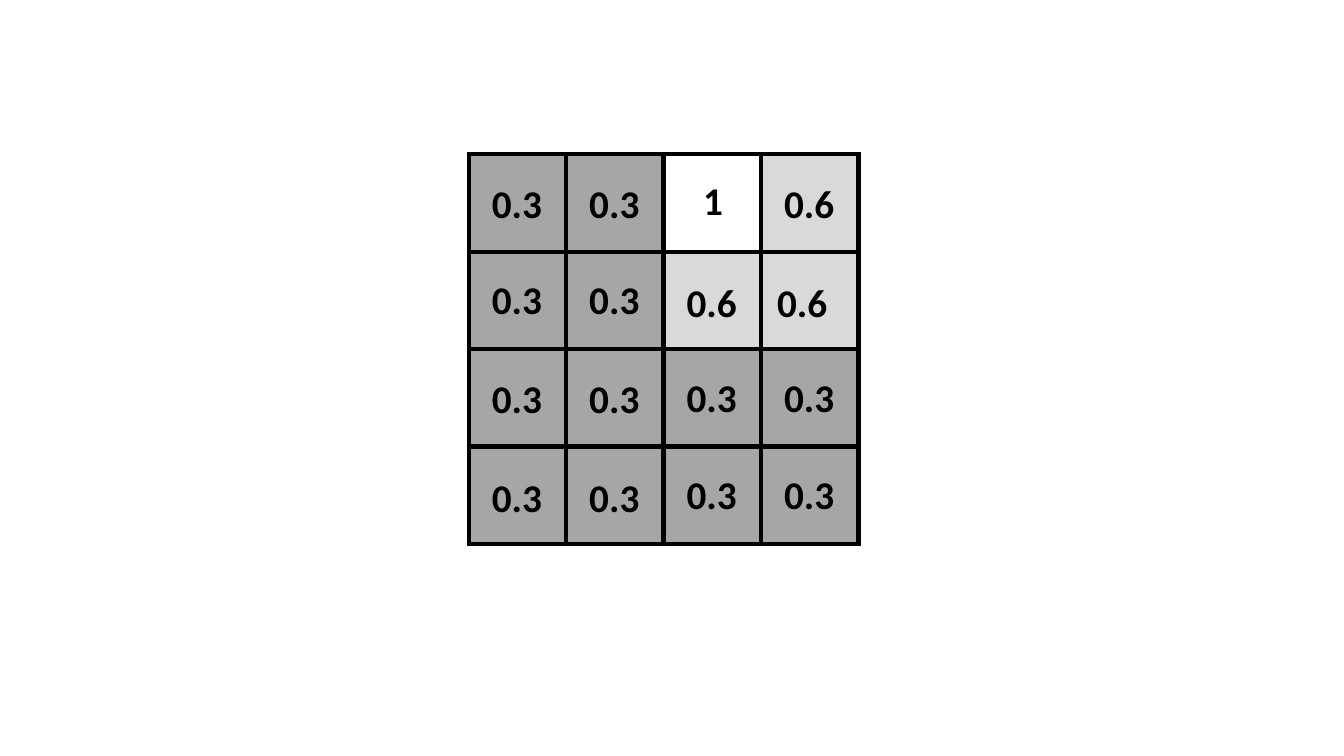
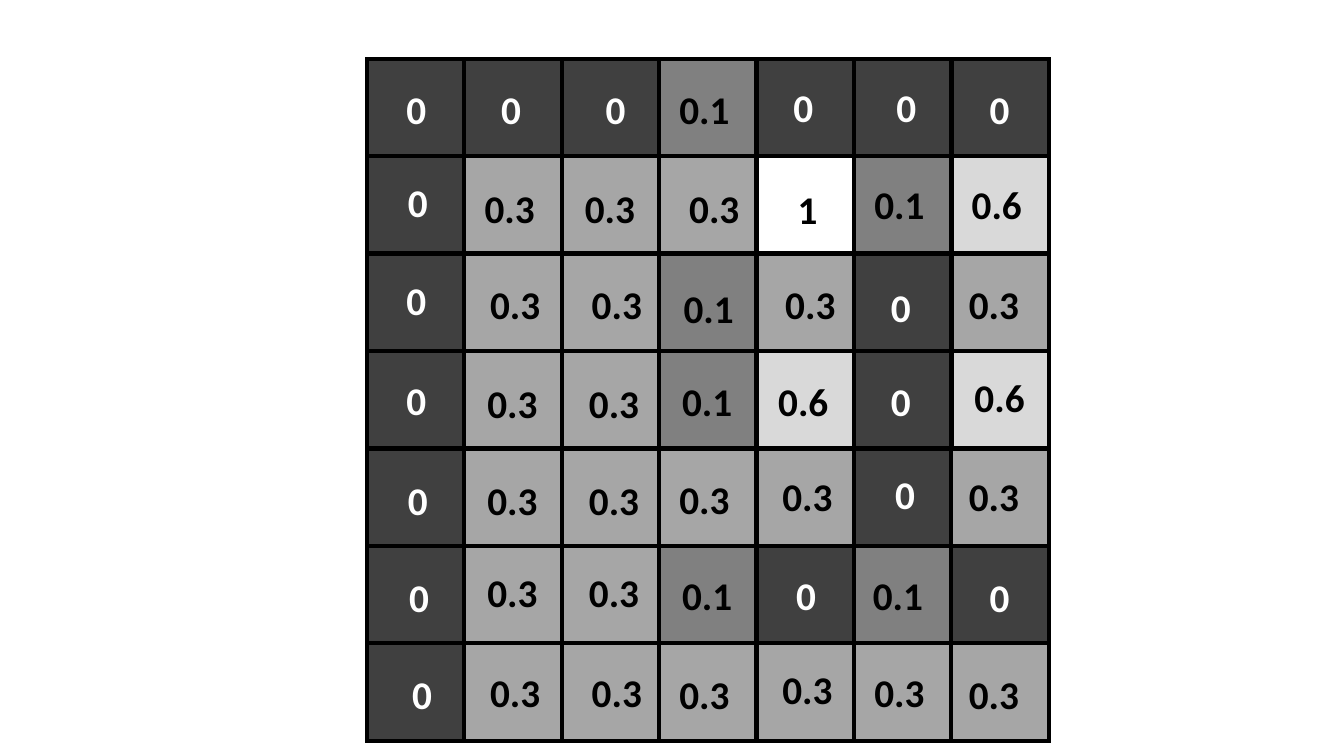
"""Build two slides that each show a square matrix of grey-level values."""
from lxml import etree
from pptx import Presentation
from pptx import util as u
from pptx.dml import color
from pptx.enum import shapes, text
from pptx.oxml import ns

COLORS = {
    "grid": "000000",
    "dark_text": "000000",
    "light_text": "FFFFFF",
    "0": "404040",
    "0.1": "808080",
    "0.3": "A6A6A6",
    "0.6": "D9D9D9",
}
FONT = "Calibri"
VALUE_SIZE = 28
GRID_WIDTH = 3
CELL = 69.6
LABEL_LEFT, LABEL_TOP = 9.4, 14.4
LABEL_WIDTH, LABEL_HEIGHT = 102.2, 41.2
INSET, DIGIT_INDENT = 7.2, 12.7

# Areas are (column, row, columns, rows); labels are (value, right, down).
SMALL_MATRIX = {
    "shades": [
        ("0.6", [(3, 0, 1, 1), (2, 1, 2, 1)]),
        ("0.3", [(2, 2, 2, 2), (0, 0, 2, 4)]),
    ],
    "bands": [(0, 0, 4, 4)]
    + [(column, 0, 1, 4) for column in range(4)]
    + [(0, row, 4, 1) for row in range(4)],
    "labels": [
        [("0.3", 0, 0), ("0.3", 0, 0), ("1", -1, -2), ("0.6", 0, 0)],
        [("0.3", 0, -1), ("0.3", 0, -1), ("0.6", 0, 1), ("0.6", -5, 1)],
        [("0.3", 0, 0), ("0.3", 0, 0), ("0.3", 0, -1), ("0.3", 0, -1)],
        [("0.3", 0, 1), ("0.3", 0, 1), ("0.3", 0, -1), ("0.3", 0, -1)],
    ],
}
LARGE_MATRIX = {
    "shades": [
        ("0", [(6, 5, 1, 1), (0, 0, 1, 7), (1, 0, 2, 1), (4, 0, 3, 1),
               (5, 2, 1, 3), (4, 5, 1, 1)]),
        ("0.1", [(3, 0, 1, 1), (5, 1, 1, 1), (3, 2, 1, 2), (3, 5, 1, 1),
                 (5, 5, 1, 1)]),
        ("0.3", [(1, 1, 2, 6), (3, 1, 1, 1), (3, 4, 1, 1), (3, 6, 4, 1),
                 (4, 2, 1, 1), (6, 2, 1, 1), (4, 4, 1, 1), (6, 4, 1, 1)]),
        ("0.6", [(4, 3, 1, 1), (6, 3, 1, 1), (6, 1, 1, 1)]),
    ],
    "bands": [(0, 0, 4, 1)]
    + [(column, 0, 1, 7) for column in (0, 1, 3, 5)]
    + [(column, 0, 1, 4) for column in (4, 6)]
    + [(0, row, 7, 1) for row in range(1, 7)],
    "labels": [
        [("0", -1, 1), ("0", -3, 1), ("0", 2, 1), ("0.1", -2, 1),
         ("0", -3, 0), ("0", 1, 0), ("0", -2, 1)],
        [("0", 0, -2), ("0.3", -2, 2), ("0.3", 0, 2), ("0.3", 5, 2),
         ("1", 0, 3), ("0.1", -2, -1), ("0.6", -2, -1)],
        [("0", -1, -2), ("0.3", 2, 1), ("0.3", 5, 1), ("0.1", 1, 4),
         ("0.3", 4, 1), ("0", -3, 3), ("0.3", -4, 1)],
        [("0", -1, 0), ("0.3", 0, 2), ("0.3", 3, 2), ("0.1", 0, 1),
         ("0.6", -1, 1), ("0", -3, 1), ("0.6", 0, -2)],
        [("0", 0, 2), ("0.3", 0, 2), ("0.3", 3, 2), ("0.3", -2, 1),
         ("0.3", 2, -1), ("0", 0, -2), ("0.3", -4, -1)],
        [("0", 1, 2), ("0.3", 0, -2), ("0.3", 3, -2), ("0.1", 0, 0),
         ("0", -1, 0), ("0.1", -3, 0), ("0", -2, 2)],
        [("0", 3, 1), ("0.3", 2, 0), ("0.3", 5, 0), ("0.3", -2, 1),
         ("0.3", 2, -2), ("0.3", -2, 0), ("0.3", -4, 1)],
    ],
}


def rgb(name):
    """Return the named colour."""
    return color.RGBColor.from_string(COLORS[name])


def add_area(slide, left, top, area):
    """Add a rectangle over an area of cells and return it."""
    column, row, columns, rows = area
    block = slide.shapes.add_shape(
        shapes.MSO_SHAPE.RECTANGLE,
        u.Pt(left + column * CELL), u.Pt(top + row * CELL),
        u.Pt(columns * CELL), u.Pt(rows * CELL))
    block.shadow.inherit = False
    return block


def add_shade(slide, left, top, area, value):
    """Shade an area of cells by its value."""
    shade = add_area(slide, left, top, area)
    shade.fill.solid()
    shade.fill.fore_color.rgb = rgb(value)
    shade.line.fill.background()


def add_band(slide, left, top, area):
    """Outline an area of cells with sharp corners."""
    band = add_area(slide, left, top, area)
    band.fill.background()
    band.line.color.rgb = rgb("grid")
    band.line.width = u.Pt(GRID_WIDTH)
    outline = band.element.spPr.get_or_add_ln()
    etree.SubElement(outline, ns.qn("a:miter"), lim="800000")


def add_label(slide, left, top, value):
    """Write one value, indenting single digits."""
    label = slide.shapes.add_textbox(
        u.Pt(left), u.Pt(top), u.Pt(LABEL_WIDTH), u.Pt(LABEL_HEIGHT))
    frame = label.text_frame
    frame.word_wrap = True
    frame.auto_size = text.MSO_AUTO_SIZE.SHAPE_TO_FIT_TEXT
    frame.margin_left = u.Pt(INSET + (DIGIT_INDENT if len(value) == 1 else 0))
    number = frame.paragraphs[0].add_run()
    number.text = value
    number.font.name = FONT
    number.font.size = u.Pt(VALUE_SIZE)
    number.font.bold = True
    number.font.color.rgb = rgb("light_text" if value == "0" else "dark_text")


def add_matrix(slide, matrix, left, top):
    """Draw a matrix of shades, outlines and values from its top left corner."""
    for value, areas in matrix["shades"]:
        for area in areas:
            add_shade(slide, left, top, area, value)
    for area in matrix["bands"]:
        add_band(slide, left, top, area)
    for row, labels in enumerate(matrix["labels"]):
        for column, (value, right, down) in enumerate(labels):
            add_label(slide, left + column * CELL + LABEL_LEFT + right,
                      top + row * CELL + LABEL_TOP + down, value)


def main():
    """Build and save the presentation."""
    deck = Presentation()
    deck.slide_width, deck.slide_height = u.Pt(960), u.Pt(540)
    blank = deck.slide_layouts[6]
    add_matrix(deck.slides.add_slide(blank), SMALL_MATRIX, 334.8, 110.2)
    add_matrix(deck.slides.add_slide(blank), LARGE_MATRIX, 262, 41.9)
    deck.save("out.pptx")


if __name__ == "__main__":
    main()
